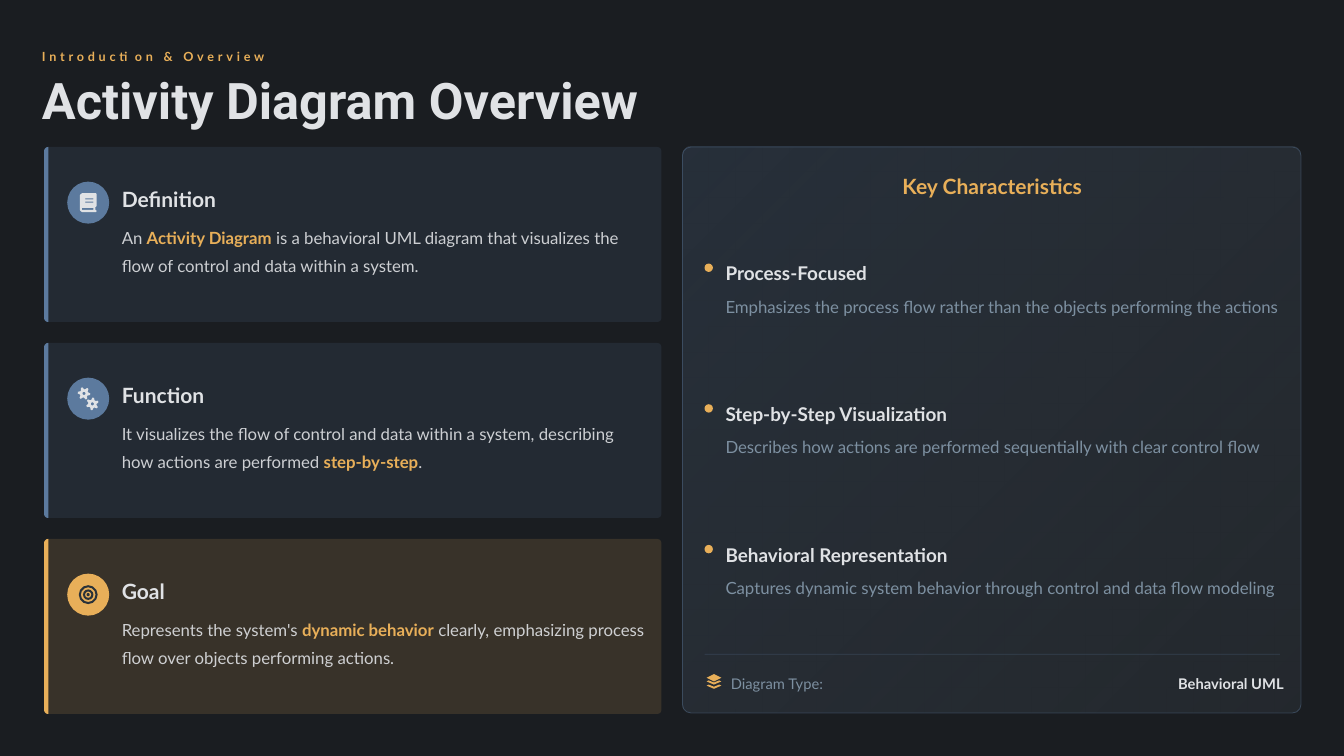
from math import cos, pi, sin

from pptx import Presentation
from pptx.dml.color import RGBColor
from pptx.enum.shapes import MSO_CONNECTOR as Connector, MSO_SHAPE as Shape
from pptx.enum.text import MSO_ANCHOR as Anchor, MSO_AUTO_SIZE as AutoSize, PP_ALIGN as Align
from pptx.oxml.xmlchemy import OxmlElement
from pptx.util import Pt

SCALE = 12700
BACKGROUND = RGBColor(0x1A, 0x1D, 0x21)
BLUE = RGBColor(0x5C, 0x7A, 0x9E)
AMBER = RGBColor(0xE8, 0xAF, 0x59)
LIGHT = RGBColor(0xE0, 0xE2, 0xE5)
MUTED = RGBColor(0x7D, 0x90, 0xA1)
DARK = RGBColor(0x2A, 0x32, 0x39)


def px(*lengths):
    """Turn lengths in px into EMU."""
    return [round(length * SCALE) for length in lengths]


def set_alpha(colour, percent):
    """Give a colour element an opacity."""
    alpha = OxmlElement("a:alpha")
    alpha.set("val", str(percent * 1000))
    colour.append(alpha)


def paint(shape, colour, alpha=100):
    """Fill a shape plainly, without line or shadow."""
    shape.shadow.inherit = False
    shape.line.fill.background()
    shape.fill.solid()
    shape.fill.fore_color.rgb = colour
    if alpha < 100:
        set_alpha(shape.element.xpath("./p:spPr/a:solidFill/a:srgbClr")[0], alpha)


def add_figure(slide, kind, box, colour, alpha=100, adjustment=None):
    """Add a painted preset shape."""
    shape = slide.shapes.add_shape(kind, *px(*box))
    if adjustment is not None:
        shape.adjustments[0] = adjustment
    paint(shape, colour, alpha)
    return shape


def add_outline(slide, left, top, contours, colour):
    """Add one painted freeform made of closed contours."""
    contours = [[tuple(px(left + x, top + y)) for x, y in contour] for contour in contours]
    builder = slide.shapes.build_freeform(*contours[0][0])
    for index, contour in enumerate(contours):
        if index:
            builder.move_to(*contour[0])
        builder.add_line_segments(contour[1:], close=True)
    paint(builder.convert_to_shape(), colour)


def format_text(shape, runs, size, colour, spacing, bold=False, font="Lato", align=Align.LEFT):
    """Write one paragraph into a shape, with every second run highlighted."""
    frame = shape.text_frame
    frame.word_wrap = True
    frame.auto_size = AutoSize.NONE
    frame.vertical_anchor = Anchor.MIDDLE
    frame.margin_left = frame.margin_top = frame.margin_right = frame.margin_bottom = 0
    paragraph = frame.paragraphs[0]
    paragraph.alignment = align
    paragraph.line_spacing = spacing
    paragraph.font.size = Pt(size)
    paragraph.font.name = font
    paragraph.font.bold = bold
    paragraph.font.color.rgb = colour
    for index, text in enumerate(runs):
        run = paragraph.add_run()
        run.text = text
        if index % 2:
            run.font.bold = True
            run.font.color.rgb = AMBER


def add_text(slide, box, text, *style, **options):
    """Add a text box holding one paragraph."""
    shape = slide.shapes.add_textbox(*px(*box))
    format_text(shape, [text] if isinstance(text, str) else text, *style, **options)
    return shape


def rectangle(left, top, width, height):
    """Return the corners of a rectangle."""
    right, bottom = left + width, top + height
    return [(left, top), (right, top), (right, bottom), (left, bottom)]


def arc(x, y, radius, start, end, steps=12):
    """Return points along an arc, with angles in half turns."""
    angles = [pi * (start + (end - start) * step / steps) for step in range(steps + 1)]
    return [(x + radius * cos(angle), y + radius * sin(angle)) for angle in angles]


def add_book(slide, left, top):
    """Draw a book in a 40 px badge."""
    cover = (arc(15, 14, 3, 1, 1.5) + arc(27, 12, 1, 1.5, 2) + arc(27, 23, 1, 0, 0.5)
             + [(27, 27)] + arc(27, 28, 1, 1.5, 2.5) + arc(15, 26, 3, 0.5, 1))
    holes = [rectangle(14, 25, 11, 2), rectangle(17, 16, 8, 1), rectangle(17, 19, 8, 1)]
    add_outline(slide, left, top, [cover] + holes, LIGHT)


def add_gears(slide, left, top):
    """Draw two gears in a 40 px badge."""
    for x, y, turn in ((16, 15, 0), (24, 25, pi / 6)):
        radii = [6, 6, 4, 4] * 6
        angles = [turn + pi * step / 12 for step in range(24)]
        teeth = [(x + r * cos(angle), y + r * sin(angle)) for r, angle in zip(radii, angles)]
        add_outline(slide, left, top, [teeth, arc(x, y, 1.5, 2, 0)], LIGHT)


def add_target(slide, left, top):
    """Draw a target in a 40 px badge."""
    for size in (18, 10):
        inset = (40 - size) / 2
        add_figure(slide, Shape.DONUT, (left + inset, top + inset, size, size), DARK, adjustment=2 / size)
    add_figure(slide, Shape.OVAL, (left + 18.5, top + 18.5, 3, 3), DARK)


def add_layers(slide, left, top):
    """Draw a stack of three layers, 14 px square."""
    add_outline(slide, left, top, [[(0, 3.5), (7, 0), (14, 3.5), (7, 7)]], AMBER)
    for y in (7, 11):
        chevron = [(0, y), (2, y - 1), (7, y + 1), (12, y - 1), (14, y), (7, y + 3)]
        add_outline(slide, left, top, [chevron], AMBER)


def add_header(slide, left, top, width):
    """Place the section label and the title."""
    label = add_text(slide, (left, top, 252, 17), "Introduction & Overview", 12, AMBER, 1.1, bold=True)
    label.element.xpath(".//a:defRPr")[0].set("spc", "360")
    title = slide.shapes.title
    title.left, title.top, title.width, title.height = px(left, top + 31, width, 48)
    format_text(title, ["Activity Diagram Overview"], 48, LIGHT, 0.8, bold=True, font="Roboto")


def add_card(slide, left, top, width, height, colour, add_icon, heading, body):
    """Place a card with accent edge, badge, heading and body."""
    box = (left, top, width, height)
    add_figure(slide, Shape.ROUNDED_RECTANGLE, box, colour, 15, 4 / height)
    edge = arc(4, 4, 4, 1, 1.5) + arc(4, height - 4, 4, 0.5, 1)
    add_outline(slide, left, top, [edge], colour)
    add_figure(slide, Shape.OVAL, (left + 22, top + 33, 40, 40), colour)
    add_icon(slide, left + 22, top + 33)
    add_text(slide, (left + 74, top + 33, 504, 28), heading, 20, LIGHT, 1.2, bold=True)
    text = add_text(slide, (left + 74, top + 70, 502, 52), body, 16, LIGHT, 1.4)
    set_alpha(text.element.xpath(".//a:defRPr//a:srgbClr")[0], 90)


def add_cards(slide, left, top, width, height, cards, gap=20):
    """Stack equal cards in a column."""
    pitch = (height + gap) / len(cards)
    for index, card in enumerate(cards):
        add_card(slide, left, top + index * pitch, width, pitch - gap, *card)


def add_panel(slide, left, top, width, height, items):
    """Place the panel of characteristics with its footer."""
    panel = add_figure(slide, Shape.ROUNDED_RECTANGLE, (left, top, width, height), BLUE, adjustment=8 / height)
    panel.fill.gradient()
    panel.fill.gradient_angle = 315
    for stop, colour in zip(panel.fill.gradient_stops, (BLUE, MUTED)):
        stop.color.rgb = colour
    panel.line.color.rgb = BLUE
    panel.line.width = Pt(0.8)
    for colour, alpha in zip(panel.element.xpath("./p:spPr//a:srgbClr"), (20, 10, 40)):
        set_alpha(colour, alpha)
    add_text(slide, (left + 16, top + 21, 558, 28), "Key Characteristics", 20, AMBER, 1.2,
             bold=True, align=Align.CENTER)
    for index, (heading, body) in enumerate(items):
        y = top + 103 + index * 134
        add_figure(slide, Shape.OVAL, (left + 21, y + 8, 8, 8), AMBER)
        add_text(slide, (left + 41, y, 540, 28), heading, 18, LIGHT, 1.3, bold=True)
        add_text(slide, (left + 41, y + 32, 540, 26), body, 16, MUTED, 1.4)
    y = top + 483
    divider = slide.shapes.add_connector(Connector.STRAIGHT, *px(left + 21, y, left + 569, y))
    divider.line.color.rgb = BLUE
    divider.line.width = Pt(0.75)
    properties = divider.element.spPr
    set_alpha(properties.xpath(".//a:srgbClr")[0], 30)
    properties.append(OxmlElement("a:effectLst"))
    add_layers(slide, left + 23, top + 502)
    add_text(slide, (left + 46, top + 499, 110, 20), "Diagram Type:", 14, MUTED, 1.2)
    add_text(slide, (left + 472, top + 499, 110, 20), "Behavioral UML", 14, LIGHT, 1.2, bold=True)


def main():
    """Build and save the slide."""
    presentation = Presentation()
    presentation.slide_width, presentation.slide_height = px(1280, 720)
    slide = presentation.slides.add_slide(presentation.slide_layouts[5])
    slide.background.fill.solid()
    slide.background.fill.fore_color.rgb = BACKGROUND
    add_header(slide, 40, 45, 1224)
    add_cards(slide, 42, 140, 588, 540, [
        (BLUE, add_book, "Definition", ("An ", "Activity Diagram", " is a behavioral UML diagram that "
         "visualizes the flow of control and data within a system.")),
        (BLUE, add_gears, "Function", ("It visualizes the flow of control and data within a system, "
         "describing how actions are performed ", "step-by-step", ".")),
        (AMBER, add_target, "Goal", ("Represents the system's ", "dynamic behavior",
         " clearly, emphasizing process flow over objects performing actions.")),
    ])
    add_panel(slide, 650, 140, 589, 539, [
        ("Process-Focused", "Emphasizes the process flow rather than the objects performing the actions"),
        ("Step-by-Step Visualization", "Describes how actions are performed sequentially with clear control flow"),
        ("Behavioral Representation", "Captures dynamic system behavior through control and data flow modeling"),
    ])
    presentation.save("out.pptx")


if __name__ == "__main__":
    main()
